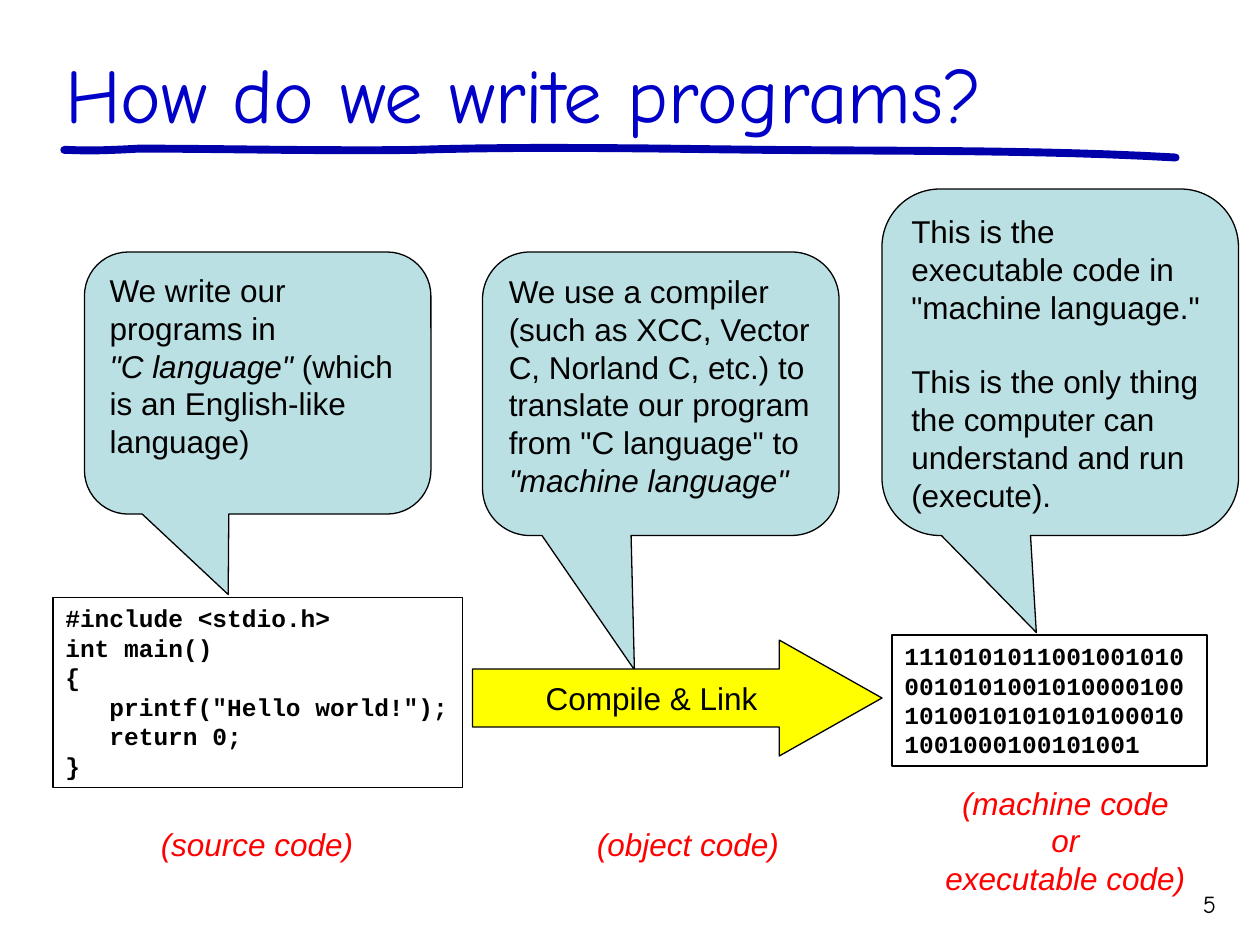
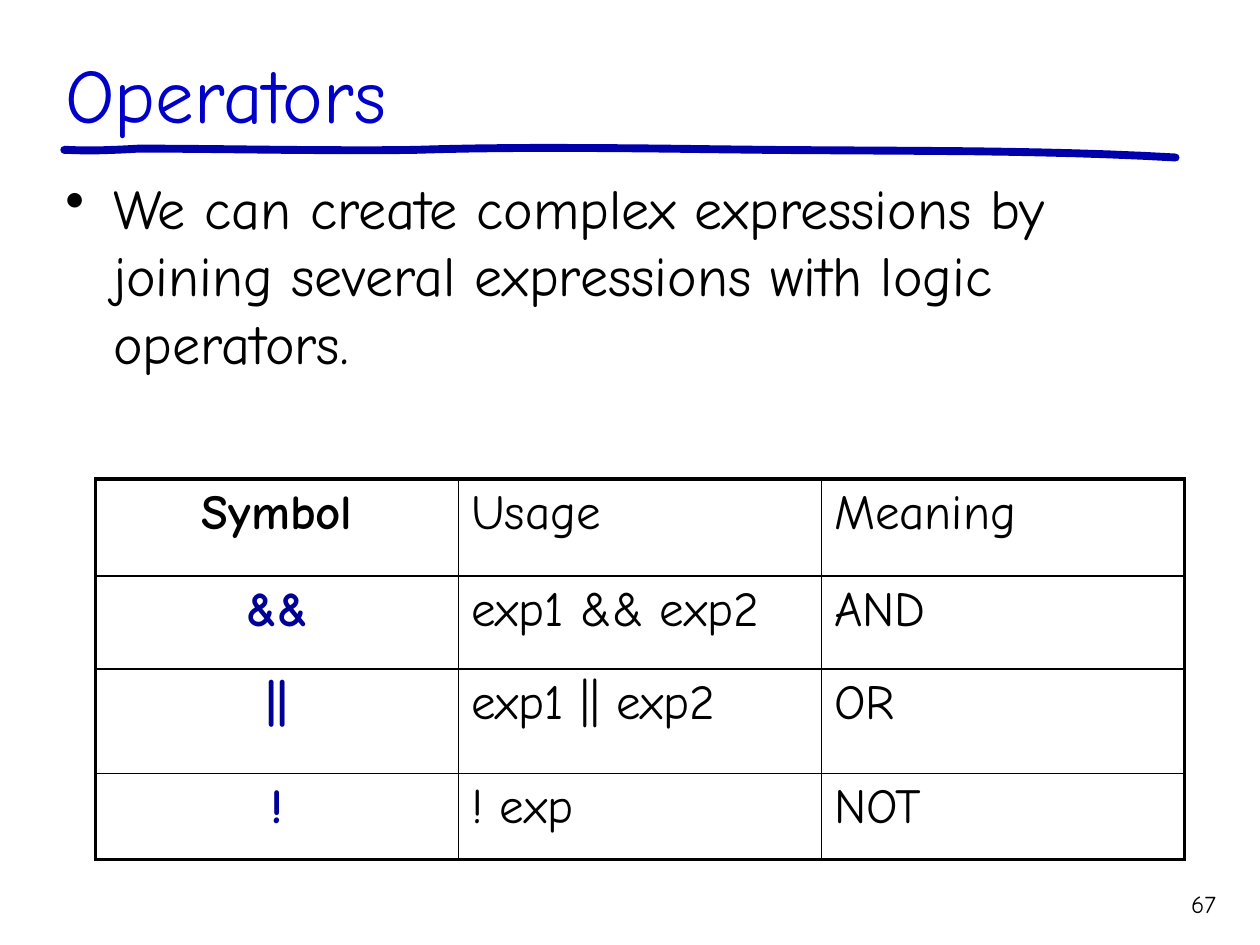
import pptx
import pptx.util
import pptx.dml.color
import pptx.enum.shapes
import pptx.enum.text
import pptx.oxml
import pptx.oxml.ns

Inches = pptx.util.Inches
Pt = pptx.util.Pt
SHAPES = pptx.enum.shapes.MSO_SHAPE
ALIGN = pptx.enum.text.PP_ALIGN
ANCHOR = pptx.enum.text.MSO_ANCHOR
qn = pptx.oxml.ns.qn

COLOURS = {
    "title": "0000C8", "underline": "0000AA", "ink": "000000",
    "callout": "BBE0E3", "arrow": "FFFF00", "caption": "FF0000", "symbol": "000096",
}
HAND, SANS, CODE = "Comic Neue", "Arial", "Courier New"
UNDERLINE_START = (0.51, 1.19)
UNDERLINE_CURVES = [
    [(0.52, 1.19), (0.52, 1.19), (0.54, 1.19)],
    [(0.73, 1.2), (0.91, 1.19), (1.1, 1.18)],
    [(1.83, 1.18), (2.55, 1.2), (3.28, 1.19)],
    [(4.23, 1.16), (5.17, 1.18), (6.12, 1.19)],
    [(7.2, 1.2), (8.27, 1.19), (9.33, 1.25)],
]


def rgb(name):
    return pptx.dml.color.RGBColor.from_string(COLOURS[name])


def curve_points(start, curves, steps=12):
    for curve in curves:
        a, b, c, d = start, *curve
        for step in range(1, steps + 1):
            t = step / steps
            u = 1 - t
            yield tuple(Inches(u**3 * p + 3 * u * u * t * q + 3 * u * t * t * r + t**3 * s)
                        for p, q, r, s in zip(a, b, c, d))
        start = curve[-1]


class Deck:
    def __init__(self):
        self.presentation = pptx.Presentation()
        self.presentation.slide_width = Inches(10)
        self.presentation.slide_height = Inches(7.5)
        self.slide = None

    def new_slide(self, title, number):
        self.slide = self.presentation.slides.add_slide(self.presentation.slide_layouts[6])
        self.underline()
        self.text((0.42, 0.3, 9.33, 0.87), [title], 44, HAND, "title", anchor=ANCHOR.MIDDLE)
        self.text((9.17, 7, 0.58, 0.35), [number], 14, HAND,
                  align=ALIGN.RIGHT, anchor=ANCHOR.MIDDLE)

    def underline(self):
        builder = self.slide.shapes.build_freeform(*map(Inches, UNDERLINE_START))
        builder.add_line_segments(curve_points(UNDERLINE_START, UNDERLINE_CURVES), close=False)
        stroke = builder.convert_to_shape()
        stroke.shadow.inherit = False
        stroke.fill.background()
        stroke.line.color.rgb = rgb("underline")
        stroke.line.width = Pt(4.5)
        stroke._element.spPr.find(qn("a:ln")).set("cap", "rnd")

    def fill_text(self, frame, paragraphs, size, font, colour="ink", align=ALIGN.LEFT,
                  anchor=ANCHOR.TOP, bold=False, italic=False, gap=0):
        frame.vertical_anchor = anchor
        for index, content in enumerate(paragraphs):
            paragraph = frame.add_paragraph() if index else frame.paragraphs[0]
            paragraph.alignment = align
            if index and gap:
                paragraph.space_before = Pt(gap)
            paragraph.font.size = Pt(size)
            paragraph.font.name = font
            paragraph.font.bold = bold
            paragraph.font.italic = italic
            paragraph.font.color.rgb = rgb(colour)
            for words, slanted in [(content, italic)] if isinstance(content, str) else content:
                run = paragraph.add_run()
                run.text = words
                if slanted != italic:
                    run.font.italic = slanted
        return frame

    def text(self, at, paragraphs, size, font, colour="ink", **style):
        frame = self.slide.shapes.add_textbox(*map(Inches, at)).text_frame
        frame.word_wrap = True
        return self.fill_text(frame, paragraphs, size, font, colour, **style)

    def indent(self, paragraph, left, first=0):
        properties = paragraph._p.get_or_add_pPr()
        properties.set("marL", str(Inches(left)))
        properties.set("indent", str(Inches(first)))
        return properties

    def bullet(self, at, sentence):
        frame = self.text(at, [sentence], 32, HAND)
        properties = self.indent(frame.paragraphs[0], 0.38, -0.38)
        mark = pptx.oxml.parse_xml(f'<a:buChar {pptx.oxml.ns.nsdecls("a")} char="•"/>')
        properties.insert(len(properties) - 1, mark)

    def shape(self, preset, at, fill=None, adjustments=()):
        shape = self.slide.shapes.add_shape(preset, *map(Inches, at))
        for index, value in enumerate(adjustments):
            shape.adjustments[index] = value
        shape.shadow.inherit = False
        if fill:
            shape.fill.solid()
            shape.fill.fore_color.rgb = rgb(fill)
        else:
            shape.fill.background()
        shape.line.color.rgb = rgb("ink")
        shape.line.width = Pt(0.75)
        return shape

    def callout(self, at, tip, paragraphs, gap=0):
        bubble = self.shape(SHAPES.ROUNDED_RECTANGULAR_CALLOUT, at, "callout", (*tip, 0.167))
        self.fill_text(bubble.text_frame, paragraphs, 18, SANS, gap=gap)

    def arrow(self, at, label):
        arrow = self.shape(SHAPES.RIGHT_ARROW, at, "arrow", (0.5, 0.886))
        arrow.text_frame.word_wrap = False
        self.fill_text(arrow.text_frame, [label], 18, SANS,
                       align=ALIGN.CENTER, anchor=ANCHOR.MIDDLE)

    def code(self, at, lines, indented=()):
        listing = self.shape(SHAPES.RECTANGLE, at)
        frame = self.fill_text(listing.text_frame, lines, 14, CODE, bold=True)
        for index in indented:
            self.indent(frame.paragraphs[index], 0.35)

    def caption(self, at, lines):
        self.text(at, lines, 18, SANS, "caption", align=ALIGN.CENTER, italic=True)

    def borders(self, cell, widths):
        properties = cell._tc.get_or_add_tcPr()
        for index, (side, width) in enumerate(zip("LRTB", widths)):
            properties.insert(index, pptx.oxml.parse_xml(
                f'<a:ln{side} {pptx.oxml.ns.nsdecls("a")} w="{Pt(width)}"><a:solidFill>'
                f'<a:srgbClr val="{COLOURS["ink"]}"/></a:solidFill></a:ln{side}>'))

    def table(self, at, heights, rows):
        columns = len(rows[0])
        table = self.slide.shapes.add_table(len(rows), columns, *map(Inches, at)).table
        table.first_row = table.horz_banding = False
        for row, height in zip(table.rows, heights):
            row.height = Inches(height)
        for r, row in enumerate(rows):
            for c, words in enumerate(row):
                cell = table.cell(r, c)
                cell.fill.background()
                edges = (c == 0, c == columns - 1, r == 0, r == len(rows) - 1)
                self.borders(cell, [2.25 if outer else 1 for outer in edges])
                key = c == 0
                self.fill_text(cell.text_frame, [words], 28, HAND,
                               "symbol" if key and r else "ink", bold=key,
                               align=ALIGN.CENTER if key else ALIGN.LEFT)


deck = Deck()

deck.new_slide("How do we write programs?", "5")
deck.callout((0.67, 2, 2.75, 2.08), (-0.085, 0.807), [
    "We write our programs in",
    [('"C language"', True), (" (which is an English-like language)", False)],
])
deck.code((0.42, 4.74, 3.25, 1.51), [
    "#include <stdio.h>", "int main()", "{", 'printf("Hello world!");', "return 0;", "}",
], indented=(3, 4))
deck.callout((3.83, 2, 2.83, 2.25), (-0.074, 0.974), [[
    ("We use a compiler (such as XCC, Vector C, Norland C, etc.) to translate our program "
     'from "C language" to ', False),
    ('"machine language"', True),
]])
deck.arrow((3.75, 5.08, 3.25, 0.92), "Compile & Link")
deck.callout((7, 1.5, 2.83, 2.75), (-0.067, 0.78), [
    'This is the executable code in "machine language."',
    "This is the only thing the computer can understand and run (execute).",
], gap=21)
deck.code((7.08, 5.04, 2.5, 1.04), [
    "1110101011001001010001010100101000010010100101010101000101001000100101001",
])
deck.caption((0.58, 6.5, 2.92, 0.4), ["(source code)"])
deck.caption((4, 6.5, 2.92, 0.4), ["(object code)"])
deck.caption((7.08, 6.17, 2.75, 1), ["(machine code", "or", "executable code)"])

deck.new_slide("Operators", "67")
deck.bullet((0.42, 1.33, 9.33, 1.8),
            "We can create complex expressions by joining several expressions with logic operators.")
deck.table((0.76, 3.8, 8.64, 3.03), (0.77, 0.74, 0.83, 0.68), [
    ("Symbol", "Usage", "Meaning"),
    ("&&", "exp1 && exp2", "AND"),
    ("||", "exp1 || exp2", "OR"),
    ("!", "! exp", "NOT"),
])

deck.presentation.save("out.pptx")
